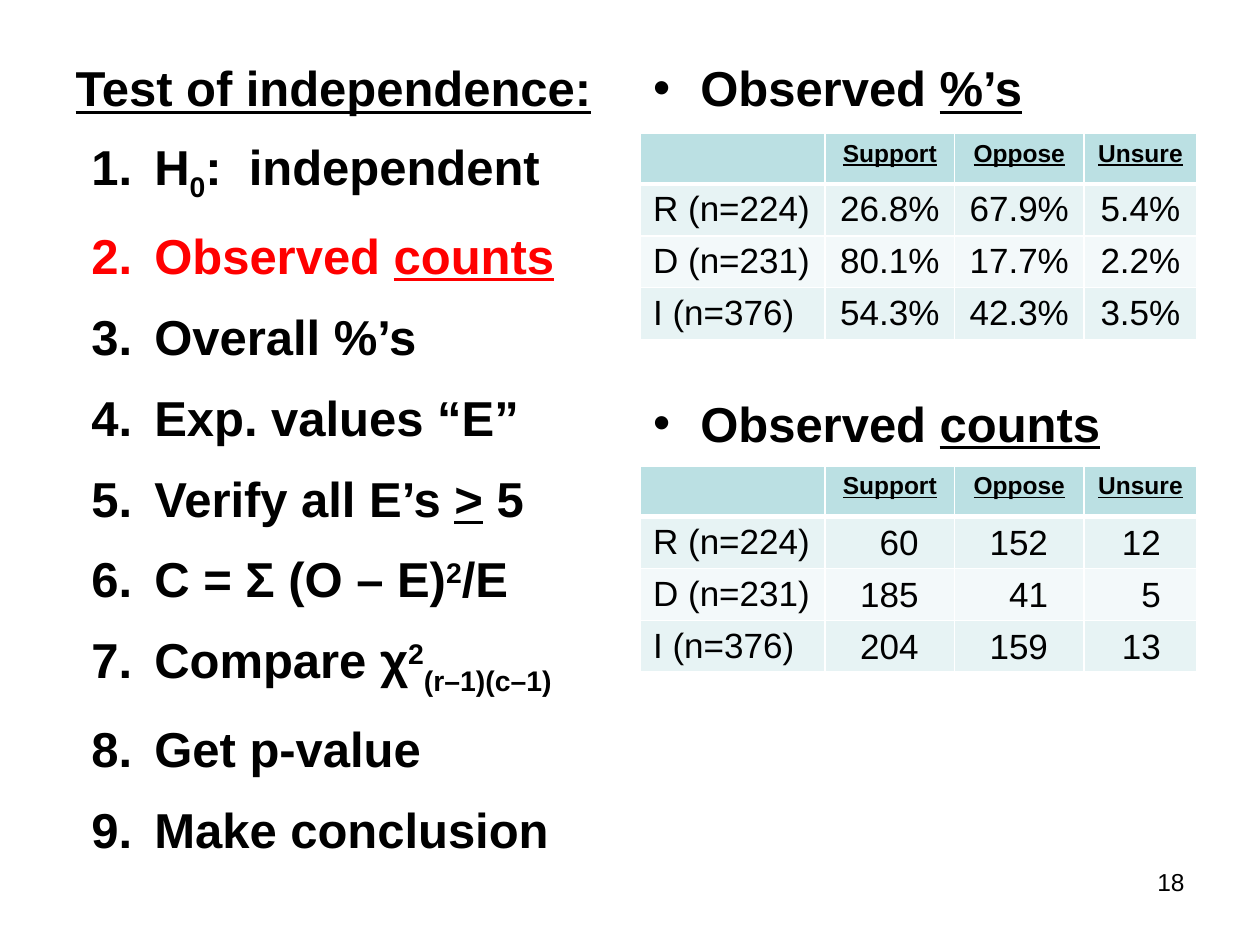
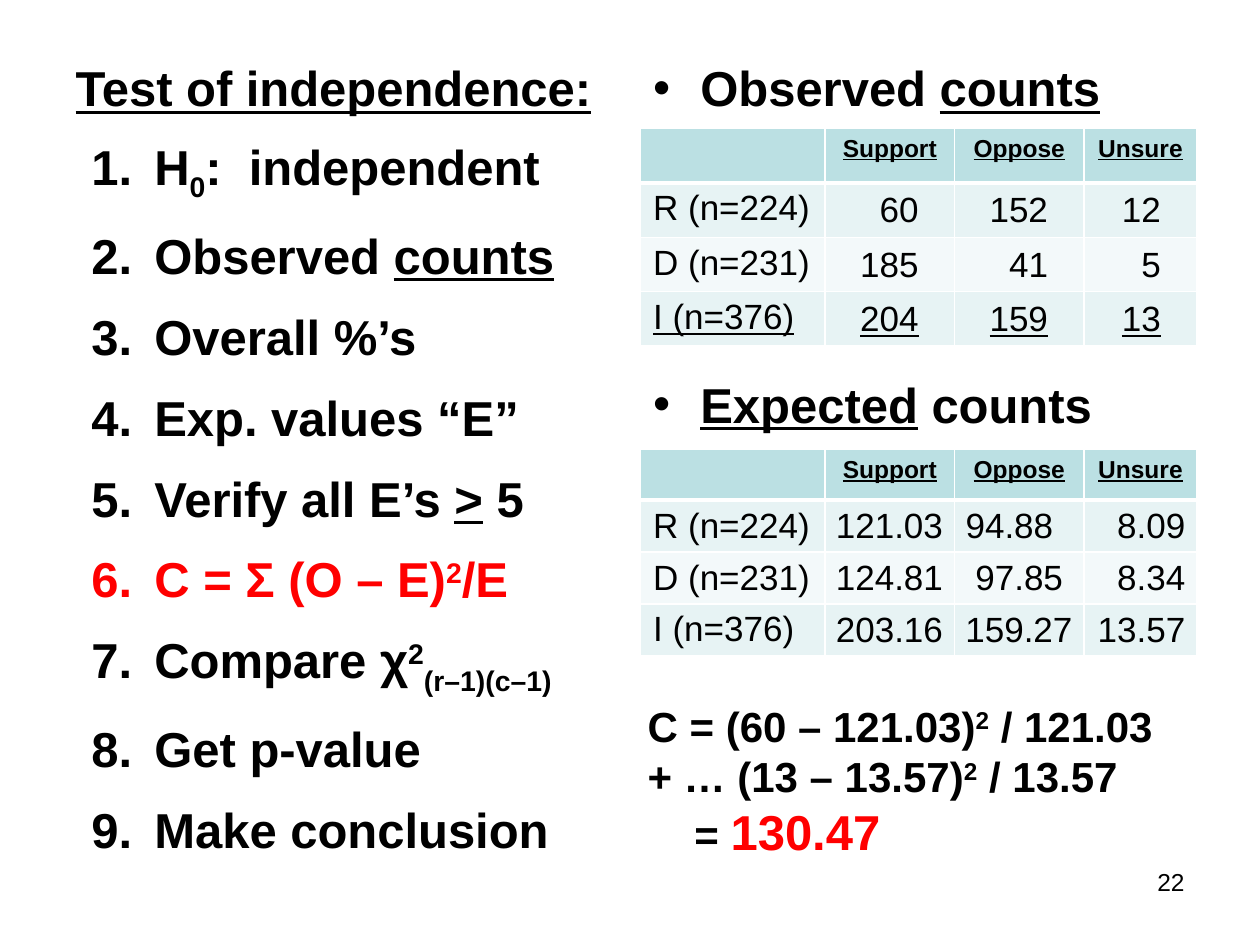
from lxml.etree import SubElement
from pptx import Presentation
from pptx.dml.color import RGBColor
from pptx.enum.text import MSO_ANCHOR as Anchor, MSO_AUTO_SIZE as AutoSize, PP_ALIGN as Align
from pptx.oxml.ns import qn
from pptx.util import Pt

BLACK = RGBColor(0x00, 0x00, 0x00)
RED = RGBColor(0xFF, 0x00, 0x00)
WHITE = RGBColor(0xFF, 0xFF, 0xFF)
HEADER_TEAL = RGBColor(0xBB, 0xE0, 0xE3)
ROW_TINTS = (RGBColor(0xE7, 0xF3, 0xF4), RGBColor(0xF3, 0xF9, 0xFA))

FONT = "Arial"
TOP = 29.5
LEFT_COLUMN, RIGHT_COLUMN, COLUMN_WIDTH = 36, 366, 318
STEP_GAP = 12.6

UNDERLINED = {"underline": True}
SUPERSCRIPT = {"baseline": 30000}
SUBSCRIPT = {"baseline": -25000}
HEADING = {"size": Pt(28), "bold": True}
HEADER_TEXT = {"size": Pt(14), "bold": True, "underline": True}
CELL_TEXT = {"size": Pt(20), "bold": False}
FORMULA = {"size": Pt(24), "bold": True}

STEPS = [
    [("H", {}), ("0", SUBSCRIPT), (":  independent", {})],
    [("Observed ", {}), ("counts", UNDERLINED)],
    [("Overall %’s", {})],
    [("Exp. values “E”", {})],
    [("Verify all E’s ", {}), (">", UNDERLINED), (" 5", {})],
    [("C = Σ (O – E)", {}), ("2", SUPERSCRIPT), ("/E", {})],
    [("Compare χ", {}), ("2", SUPERSCRIPT), ("(r–1)(c–1)", SUBSCRIPT)],
    [("Get p-value", {})],
    [("Make conclusion", {})],
]
OBSERVED_PERCENTS = [("Observed ", {}), ("%’s", UNDERLINED)]
OBSERVED_COUNTS = [("Observed ", {}), ("counts", UNDERLINED)]
EXPECTED_COUNTS = [("Expected", UNDERLINED), (" counts", {})]

ANSWERS = ("", "Support", "Oppose", "Unsure")
PARTIES = ("R (n=224)", "D (n=231)", "I (n=376)")
COLUMN_WIDTHS = (105.5, 74, 74, 64.5)
COMPACT_ROWS = (28.8, 29.5)
EVEN_ROWS = (31.1, 31.1)
PERCENTS = [("26.8%", "67.9%", "5.4%"), ("80.1%", "17.7%", "2.2%"), ("54.3%", "42.3%", "3.5%")]
COUNTS = [("60", "152", "12"), ("185", "41", "5"), ("204", "159", "13")]
EXPECTED = [("121.03", "94.88", "8.09"), ("124.81", "97.85", "8.34"), ("203.16", "159.27", "13.57")]
COUNT_INSET = 20.6
EXPECTED_INSET = 6.6
SHIFTED_INSETS = {"94.88": 17.6, "97.85": 12}


def set_values(target, values):
    for name, value in values.items():
        setattr(target, name, value)


def add_runs(paragraph, runs, base, color=BLACK):
    for text, extra in runs:
        run = paragraph.add_run()
        run.text = text
        values = {"name": FONT, **base, **extra}
        baseline = values.pop("baseline", None)
        set_values(run.font, values)
        run.font.color.rgb = values.pop("color", color) if "color" in values else color
        if baseline:
            run._r.get_or_add_rPr().set("baseline", str(baseline))


def place(shape, left, top, width, height):
    set_values(shape, {"left": Pt(left), "top": Pt(top), "width": Pt(width), "height": Pt(height)})
    set_values(shape.text_frame, {
        "word_wrap": True, "auto_size": AutoSize.NONE, "vertical_anchor": Anchor.TOP})


def add_marker(paragraph, tag, attributes, margin, hanging):
    properties = paragraph._p.get_or_add_pPr()
    properties.set("marL", str(Pt(margin)))
    properties.set("indent", str(-Pt(hanging)))
    if tag == "a:buAutoNum":
        SubElement(properties, qn("a:buFont"), typeface="+mj-lt")
    else:
        SubElement(properties, qn("a:buFont"), typeface=FONT)
    SubElement(properties, qn(tag), attributes)


def fill_list(shape, items, gap, tag, attributes, margin, hanging, red_item=None):
    frame = shape.text_frame
    for index, runs in enumerate(items):
        paragraph = frame.add_paragraph() if index else frame.paragraphs[0]
        add_marker(paragraph, tag, attributes, margin, hanging)
        paragraph.space_before = Pt(gap if index else 0)
        add_runs(paragraph, runs, HEADING, RED if index == red_item else BLACK)


def add_text_box(slide, left, top, width, height):
    box = slide.shapes.add_textbox(Pt(left), Pt(top), Pt(width), Pt(height))
    box.text_frame.word_wrap = True
    return box.text_frame


def add_page(presentation, number, red_step, headings, heading_gap):
    slide = presentation.slides.add_slide(presentation.slide_layouts[3])
    title, steps, topics = slide.placeholders
    place(title, LEFT_COLUMN, TOP, COLUMN_WIDTH, 40)
    title_paragraph = title.text_frame.paragraphs[0]
    title_paragraph.alignment = Align.LEFT
    add_runs(title_paragraph, [("Test of independence:", UNDERLINED)], HEADING)

    place(steps, LEFT_COLUMN, 74.3, COLUMN_WIDTH, 412)
    fill_list(steps, STEPS, STEP_GAP, "a:buAutoNum", {"type": "arabicPeriod"}, 45, 36, red_step - 1)
    place(topics, RIGHT_COLUMN, TOP, COLUMN_WIDTH, 456)
    fill_list(topics, headings, heading_gap, "a:buChar", {"char": "•"}, 27, 27)

    footer = add_text_box(slide, 516, 492, 168, 37).paragraphs[0]
    footer.alignment = Align.RIGHT
    add_runs(footer, [(str(number), {})], {"size": Pt(14)})
    return slide


def set_borders(cell, bottom):
    properties = cell._tc.get_or_add_tcPr()
    for index, (side, width) in enumerate((("lnL", 1), ("lnR", 1), ("lnT", 1), ("lnB", bottom))):
        line = properties.makeelement(qn("a:" + side), {"w": str(Pt(width))})
        fill = SubElement(line, qn("a:solidFill"))
        SubElement(fill, qn("a:srgbClr"), val=str(WHITE))
        properties.insert(index, line)


def fill_cell(cell, text, color, values, alignment, bottom=1):
    cell.fill.solid()
    cell.fill.fore_color.rgb = color
    set_borders(cell, bottom)
    paragraph = cell.text_frame.paragraphs[0]
    paragraph.alignment = alignment
    if text:
        add_runs(paragraph, [(text, {})], values)


def add_answer_table(slide, top, rows, row_heights=COMPACT_ROWS, inset=None, underline_last=False):
    header_height, row_height = row_heights
    height = header_height + row_height * len(rows)
    frame = slide.shapes.add_table(
        len(rows) + 1, len(ANSWERS), Pt(RIGHT_COLUMN), Pt(top), Pt(COLUMN_WIDTH), Pt(height))
    table = frame.table
    table.horz_banding = False
    for column, width in zip(table.columns, COLUMN_WIDTHS):
        column.width = Pt(width)
    table.rows[0].height = Pt(header_height)
    for index, answer in enumerate(ANSWERS):
        fill_cell(table.cell(0, index), answer, HEADER_TEAL, HEADER_TEXT, Align.CENTER, bottom=3)

    for row, (party, numbers) in enumerate(zip(PARTIES, rows), 1):
        table.rows[row].height = Pt(row_height)
        tint = ROW_TINTS[(row - 1) % 2]
        values = {**CELL_TEXT, "underline": underline_last and row == len(rows)}
        label = table.cell(row, 0)
        fill_cell(label, party, tint, values, Align.LEFT)
        label.margin_bottom = Pt(2)
        for column, number in enumerate(numbers, 1):
            cell = table.cell(row, column)
            fill_cell(cell, number, tint, values, Align.RIGHT if inset else Align.CENTER)
            cell.margin_bottom = Pt(2)
            if inset:
                set_values(cell, {
                    "vertical_anchor": Anchor.MIDDLE, "margin_left": Pt(0.7), "margin_top": Pt(0.7),
                    "margin_bottom": Pt(0), "margin_right": Pt(SHIFTED_INSETS.get(number, inset))})


def add_statistic(slide):
    frame = add_text_box(slide, 363, 396.7, 308, 99.4)
    add_runs(frame.paragraphs[0], [
        ("C = (60 – 121.03)", {}), ("2", SUPERSCRIPT),
        (" / 121.03 + … (13 – 13.57)", {}), ("2", SUPERSCRIPT), (" / 13.57", {})], FORMULA)
    result = frame.add_paragraph()
    result._p.get_or_add_pPr().set("marL", str(Pt(26.7)))
    add_runs(result, [("= ", {})], FORMULA)
    add_runs(result, [("130.47", {})], HEADING, RED)


def main():
    presentation = Presentation()
    set_values(presentation, {"slide_width": Pt(720), "slide_height": Pt(540)})

    observed = add_page(presentation, 18, 2, [OBSERVED_PERCENTS, OBSERVED_COUNTS], 158)
    add_answer_table(observed, 76.3, PERCENTS)
    add_answer_table(observed, 266.4, COUNTS, inset=COUNT_INSET)

    expected = add_page(presentation, 22, 6, [OBSERVED_COUNTS, EXPECTED_COUNTS], 147)
    add_answer_table(expected, 73.4, COUNTS, EVEN_ROWS, COUNT_INSET, underline_last=True)
    add_answer_table(expected, 257, EXPECTED, inset=EXPECTED_INSET)
    add_statistic(expected)

    presentation.save("out.pptx")


if __name__ == "__main__":
    main()
